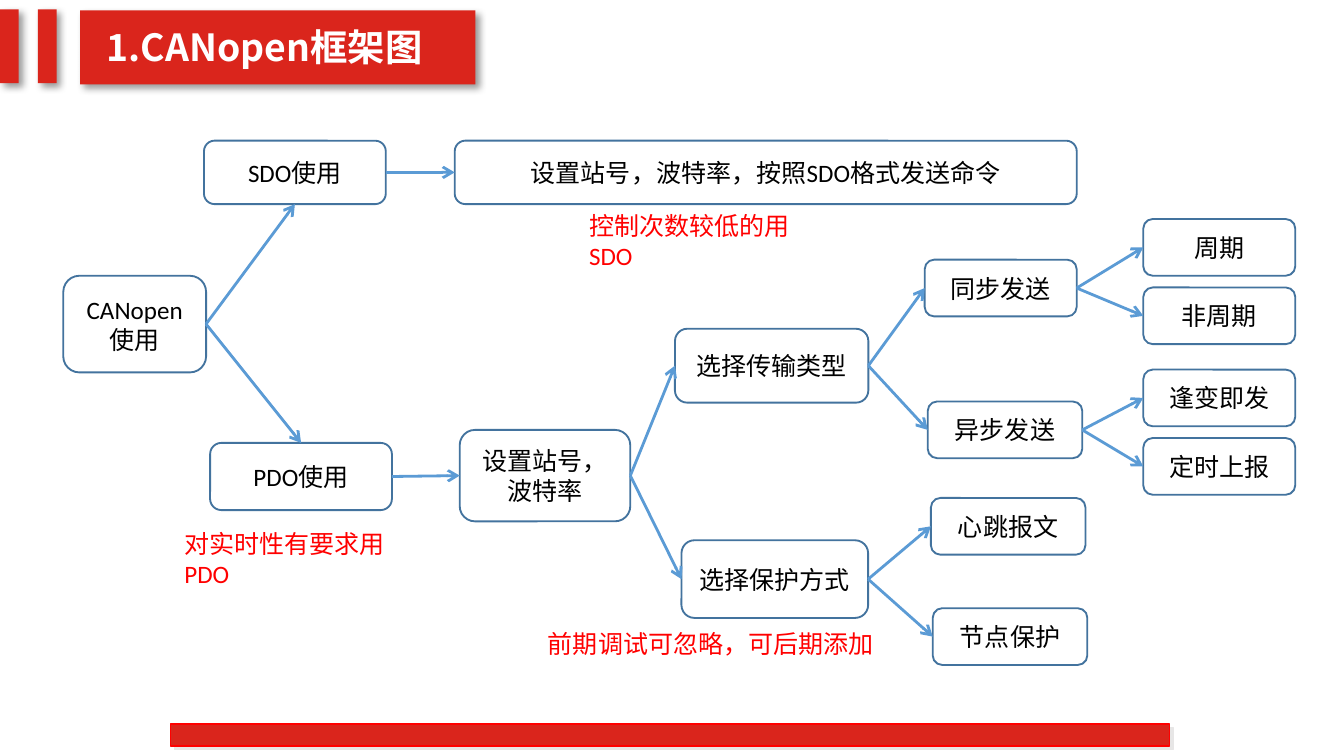
from lxml import etree
from pptx import Presentation
from pptx.dml.color import RGBColor
from pptx.enum.shapes import MSO_CONNECTOR, MSO_SHAPE
from pptx.enum.text import MSO_ANCHOR, MSO_AUTO_SIZE, PP_ALIGN
from pptx.oxml.ns import qn
from pptx.util import Pt

RECT, ROUND = MSO_SHAPE.RECTANGLE, MSO_SHAPE.ROUNDED_RECTANGLE
STRAIGHT = MSO_CONNECTOR.STRAIGHT
MIDDLE, CENTER, LEFT = MSO_ANCHOR.MIDDLE, PP_ALIGN.CENTER, PP_ALIGN.LEFT
GROW = MSO_AUTO_SIZE.SHAPE_TO_FIT_TEXT
TOP_SITE, LEFT_SITE, BOTTOM_SITE, RIGHT_SITE = range(4)

WHITE = RGBColor(0xFF, 0xFF, 0xFF)
BLACK = RGBColor(0, 0, 0)
RED = RGBColor(0xFF, 0, 0)
BRAND_RED = RGBColor(0xDA, 0x25, 0x1C)
OUTLINE = RGBColor(0x43, 0x73, 0x9E)
ARROW = RGBColor(0x5B, 0x9B, 0xD5)
PALE = RGBColor(0xE7, 0xE6, 0xE6)


def write(tf, text, size=13.4, font="Calibri", color=BLACK, bold=False, align=LEFT):
    tf.word_wrap = True
    p = tf.paragraphs[0]
    p.alignment = align
    r = p.add_run()
    r.text = text
    r.font.size, r.font.name, r.font.bold = Pt(size), font, bold
    r.font.color.rgb = color
    ea = etree.SubElement(r.font._element, qn("a:ea"))
    ea.set("typeface", "Noto Sans CJK SC")


class Diagram:
    """Draws the styled elements of a flow diagram on one slide."""

    def __init__(self, slide):
        self.shapes = slide.shapes

    def block(self, kind, box, fill, line=None, width=1):
        sp = self.shapes.add_shape(kind, *map(Pt, box))
        sp.shadow.inherit = False
        sp.fill.solid()
        sp.fill.fore_color.rgb = fill
        if line is None:
            sp.line.fill.background()
        else:
            sp.line.color.rgb = line
            sp.line.width = Pt(width)
        return sp

    def bar(self, box, line=None, shadow=BLACK, alpha=40, blur=4, dist=3):
        sp = self.block(RECT, box, BRAND_RED, line, 0.75)
        effects = sp._element.spPr.find(qn("a:effectLst"))
        outer = etree.SubElement(effects, qn("a:outerShdw"), blurRad=str(Pt(blur)),
                                 dist=str(Pt(dist)), dir="2700000", algn="tl", rotWithShape="0")
        color = etree.SubElement(outer, qn("a:srgbClr"), val=str(shadow))
        etree.SubElement(color, qn("a:alpha"), val=str(alpha * 1000))

    def node(self, text, *box):
        sp = self.block(ROUND, box, WHITE, OUTLINE)
        sp.text_frame.vertical_anchor = MIDDLE
        write(sp.text_frame, text, align=CENTER)
        return sp

    def label(self, text, *box, **style):
        tf = self.shapes.add_textbox(*map(Pt, box)).text_frame
        write(tf, text, **style)
        tf.auto_size = GROW

    def arrow(self, start, end, site=LEFT_SITE):
        c = self.shapes.add_connector(STRAIGHT, 0, 0, 0, 0)
        c.begin_connect(start, RIGHT_SITE)
        c.end_connect(end, site)
        c.line.color.rgb = ARROW
        c.line.width = Pt(1.5)
        etree.SubElement(c.line._get_or_add_ln(), qn("a:tailEnd"), type="arrow")
        etree.SubElement(c._element.spPr, qn("a:effectLst"))


def main():
    prs = Presentation()
    prs.slide_width, prs.slide_height = Pt(720), Pt(402.5)
    d = Diagram(prs.slides.add_slide(prs.slide_layouts[6]))

    d.bar((43, 5.6, 211.7, 39.6))
    for x in (0, 20.3):
        d.bar((x, 5, 10, 39.6))
    d.label("1.CANopen框架图", 49.9, 9.3, 212.4, 31.5, size=20,
            font="Noto Sans CJK SC", color=WHITE, bold=True)
    d.bar((91.5, 388, 535, 11.8), line=RED, shadow=PALE, alpha=100, blur=0, dist=2.8)

    root = d.node("CANopen使用", 33.9, 147.8, 76.5, 51.8)
    sdo = d.node("SDO使用", 109.3, 75.4, 97.4, 34)
    pdo = d.node("PDO使用", 112.6, 237.4, 97.4, 36)
    command = d.node("设置站号，波特率，按照SDO格式发送命令", 243.6, 75.4, 333.2, 34)
    transfer = d.node("选择传输类型", 361.6, 176.2, 103.6, 39.6)
    guard = d.node("选择保护方式", 365.1, 289.6, 100, 41.6)
    sync = d.node("同步发送", 495.4, 139.2, 81.4, 30.4)
    async_send = d.node("异步发送", 497, 215.2, 82.8, 30.4)
    setup = d.node("设置站号，波特率", 246.3, 230.4, 91.4, 49)
    heartbeat = d.node("心跳报文", 498.7, 266.9, 82.8, 30.4)
    node_guard = d.node("节点保护", 499.7, 326, 82.8, 30.4)
    periodic, aperiodic, on_change, timed = [
        d.node(text, 612.5, y, 81.4, 30.4)
        for text, y in (("周期", 117.4), ("非周期", 154.1), ("逢变即发", 198.1), ("定时上报", 234.8))
    ]

    d.arrow(root, sdo, BOTTOM_SITE)
    d.arrow(root, pdo, TOP_SITE)
    for start, ends in (
        (sdo, [command]),
        (pdo, [setup]),
        (setup, [transfer, guard]),
        (transfer, [sync, async_send]),
        (guard, [heartbeat, node_guard]),
        (sync, [periodic, aperiodic]),
        (async_send, [on_change, timed]),
    ):
        for end in ends:
            d.arrow(start, end)

    for text, x, y, w in (
        ("对实时性有要求用PDO", 91.7, 279.5, 133),
        ("控制次数较低的用SDO", 308.5, 109.1, 133),
        ("前期调试可忽略，可后期添加", 286.4, 333.2, 190.4),
    ):
        d.label(text, x, y, w, 23.8, color=RED)

    prs.save("out.pptx")


if __name__ == "__main__":
    main()
